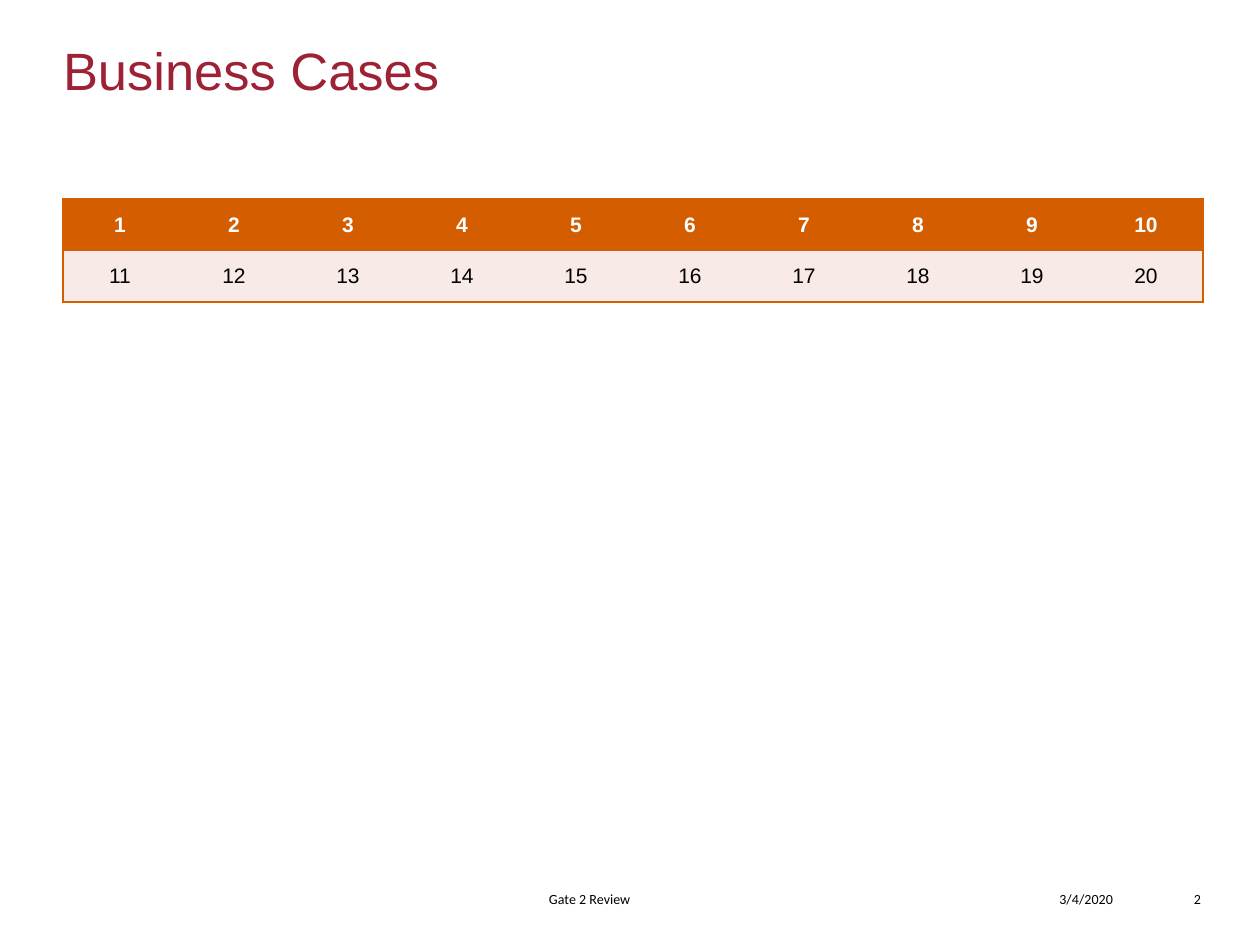
from lxml import etree
from pptx import Presentation
from pptx import util as u
from pptx.dml.color import RGBColor
from pptx.enum import text
from pptx.oxml.ns import qn

PX = u.Inches(1) / 126
COLORS = {"title": "9D2235", "accent": "D45D00", "band": "F7EAE7",
          "white": "FFFFFF", "black": "000000"}
LEFT, CENTER, RIGHT = (text.PP_ALIGN.LEFT, text.PP_ALIGN.CENTER,
                       text.PP_ALIGN.RIGHT)
TOP, BOTTOM = text.MSO_ANCHOR.TOP, text.MSO_ANCHOR.BOTTOM


def px(length):
    return u.Emu(round(length * PX))


class SlideBuilder:
    """Holds the style and the current slide, and adds elements to it."""

    formats = {
        "title": {"name": "Arial", "size": u.Pt(30), "bold": False},
        "header": {"name": "Arial", "size": u.Pt(12), "bold": True},
        "body": {"name": "Arial", "size": u.Pt(12), "bold": False},
        "footer": {"name": "Calibri", "size": u.Pt(8), "bold": False},
    }

    def __init__(self, presentation):
        self.slide = presentation.slides.add_slide(presentation.slide_layouts[6])

    def fill_frame(self, frame, words, style, color, align):
        paragraph = frame.paragraphs[0]
        paragraph.alignment = align
        run = paragraph.add_run()
        run.text = words
        for name, value in self.formats[style].items():
            setattr(run.font, name, value)
        run.font.color.rgb = RGBColor.from_string(COLORS[color])

    def add_text(self, words, box, style, color="black", align=LEFT,
                 anchor=BOTTOM, inset=0):
        frame = self.slide.shapes.add_textbox(*map(px, box)).text_frame
        values = {"word_wrap": True, "vertical_anchor": anchor,
                  "margin_left": px(inset), "margin_right": 0,
                  "margin_top": 0, "margin_bottom": 0}
        for name, value in values.items():
            setattr(frame, name, value)
        self.fill_frame(frame, words, style, color, align)

    def set_borders(self, cell, sides):
        properties = cell._tc.get_or_add_tcPr()
        for index, side in enumerate("LRTB"):
            line = etree.Element(qn(f"a:ln{side}"), w=str(u.Pt(1)))
            if side in sides:
                fill = etree.SubElement(line, qn("a:solidFill"))
                etree.SubElement(fill, qn("a:srgbClr"), val=COLORS["accent"])
            else:
                etree.SubElement(line, qn("a:noFill"))
            properties.insert(index, line)

    def add_table(self, rows, box, row_styles):
        last = len(rows[0]) - 1
        table = self.slide.shapes.add_table(
            len(rows), last + 1, *map(px, box)).table
        for i, (row, (style, color, fill)) in enumerate(zip(rows, row_styles)):
            for j, value in enumerate(row):
                cell = table.cell(i, j)
                cell.vertical_anchor = text.MSO_ANCHOR.MIDDLE
                cell.fill.solid()
                cell.fill.fore_color.rgb = RGBColor.from_string(COLORS[fill])
                self.fill_frame(cell.text_frame, str(value), style, color, CENTER)
                sides = "TB" + "L" * (j == 0) + "R" * (j == last)
                self.set_borders(cell, sides)


def main():
    presentation = Presentation()
    presentation.slide_width, presentation.slide_height = px(1260), px(945)
    builder = SlideBuilder(presentation)
    builder.add_text("Business Cases", (63, 38, 1140, 135), "title", "title",
                     anchor=TOP)
    builder.add_table([range(1, 11), range(11, 21)], (63, 199, 1140, 103),
                      [("header", "white", "accent"),
                       ("body", "black", "band")])
    builder.add_text("2", (1154, 874, 47, 33), "footer", align=RIGHT)
    builder.add_text("3/4/2020", (932, 874, 181, 33), "footer", align=RIGHT)
    builder.add_text("Gate 2 Review", (391, 874, 457, 33), "footer", inset=158)
    presentation.save("out.pptx")


if __name__ == "__main__":
    main()
